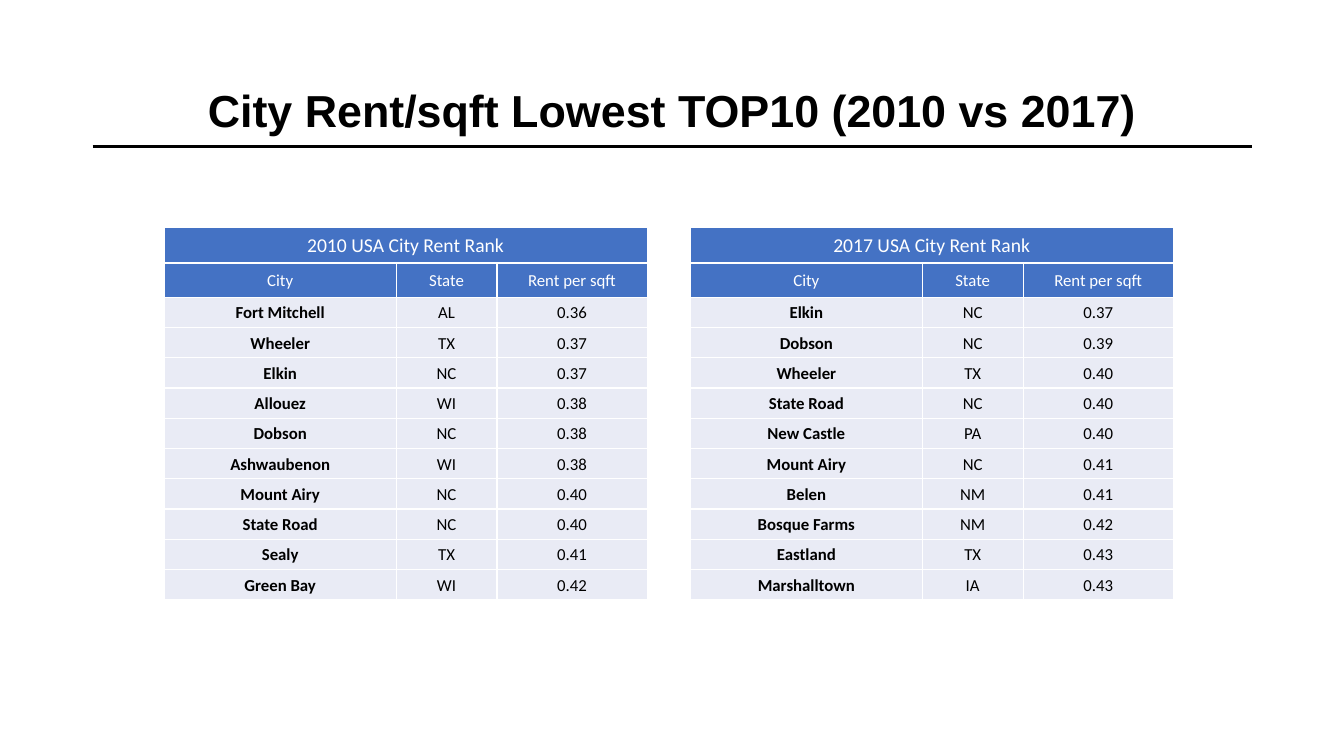
from dataclasses import dataclass

from lxml.etree import SubElement
from pptx import Presentation
from pptx.dml.color import RGBColor
from pptx.enum.shapes import MSO_CONNECTOR
from pptx.enum.text import MSO_ANCHOR, PP_ALIGN
from pptx.oxml.ns import qn
from pptx.util import Pt


@dataclass
class Theme:
    ink: str = "000000"
    paper: str = "FFFFFF"
    header: str = "4472C4"
    body: str = "E9EBF5"
    title_font: str = "Arial"
    table_font: str = "Calibri"
    title_size: int = 32
    caption_size: int = 14
    cell_size: int = 12


theme = Theme()


def write(frame, text, font, size, color, bold, spacing):
    para = frame.paragraphs[0]
    para.alignment = PP_ALIGN.CENTER
    para.line_spacing = spacing
    span = para.add_run()
    span.text = text
    span.font.name = font
    span.font.size = Pt(size)
    span.font.bold = bold
    span.font.color.rgb = RGBColor.from_string(color)


def style_cell(cell, fill):
    properties = cell._tc.get_or_add_tcPr()
    for side in ("lnL", "lnR", "lnT", "lnB"):
        border = SubElement(properties, qn(f"a:{side}"), w=str(Pt(1)))
        paint = SubElement(border, qn("a:solidFill"))
        SubElement(paint, qn("a:srgbClr"), val=theme.paper)
    cell.fill.solid()
    cell.fill.fore_color.rgb = RGBColor.from_string(fill)
    cell.vertical_anchor = MSO_ANCHOR.MIDDLE
    cell.margin_left = cell.margin_right = Pt(2.16)
    cell.margin_top = cell.margin_bottom = Pt(2.16)


deck = Presentation()
deck.slide_width = Pt(960)
deck.slide_height = Pt(540)
page = deck.slides.add_slide(deck.slide_layouts[6])

rule = page.shapes.add_connector(
    MSO_CONNECTOR.STRAIGHT, Pt(66.24), Pt(104.4), Pt(894.24), Pt(104.4)
)
rule.line.color.rgb = RGBColor.from_string(theme.ink)
rule.line.width = Pt(2.25)
SubElement(rule._element.spPr, qn("a:effectLst"))

title_box = page.shapes.add_textbox(Pt(66.24), Pt(28.8), Pt(828), Pt(104.4))
title_box.text_frame.word_wrap = True
title_box.text_frame.vertical_anchor = MSO_ANCHOR.MIDDLE
write(title_box.text_frame, "City Rent/sqft Lowest TOP10 (2010 vs 2017)",
      theme.title_font, theme.title_size, theme.ink, True, 0.9)

headings = ("City", "State", "Rent per sqft")
column_widths = (165.6, 72, 107.28)
row_heights = [25.2, 24.48] + [21.6] * 10
rankings = [
    ("2010 USA City Rent Rank", 117.36, [
        ("Fort Mitchell", "AL", "0.36"),
        ("Wheeler", "TX", "0.37"),
        ("Elkin", "NC", "0.37"),
        ("Allouez", "WI", "0.38"),
        ("Dobson", "NC", "0.38"),
        ("Ashwaubenon", "WI", "0.38"),
        ("Mount Airy", "NC", "0.40"),
        ("State Road", "NC", "0.40"),
        ("Sealy", "TX", "0.41"),
        ("Green Bay", "WI", "0.42"),
    ]),
    ("2017 USA City Rent Rank", 493.2, [
        ("Elkin", "NC", "0.37"),
        ("Dobson", "NC", "0.39"),
        ("Wheeler", "TX", "0.40"),
        ("State Road", "NC", "0.40"),
        ("New Castle", "PA", "0.40"),
        ("Mount Airy", "NC", "0.41"),
        ("Belen", "NM", "0.41"),
        ("Bosque Farms", "NM", "0.42"),
        ("Eastland", "TX", "0.43"),
        ("Marshalltown", "IA", "0.43"),
    ]),
]

for caption, left, cities in rankings:
    table = page.shapes.add_table(
        len(row_heights), len(column_widths), Pt(left), Pt(162.72),
        Pt(sum(column_widths)), Pt(sum(row_heights))
    ).table
    for column, width in zip(table.columns, column_widths):
        column.width = Pt(width)
    for row, height in zip(table.rows, row_heights):
        row.height = Pt(height)
    table.cell(0, 0).merge(table.cell(0, 2))

    for row_index, values in enumerate([(caption, "", ""), headings, *cities]):
        is_header = row_index < 2
        for column_index, value in enumerate(values):
            cell = table.cell(row_index, column_index)
            style_cell(cell, theme.header if is_header else theme.body)
            if value:
                write(cell.text_frame, value, theme.table_font,
                      theme.caption_size if row_index == 0 else theme.cell_size,
                      theme.paper if is_header else theme.ink,
                      not is_header and column_index == 0, 1.07)

deck.save("out.pptx")
